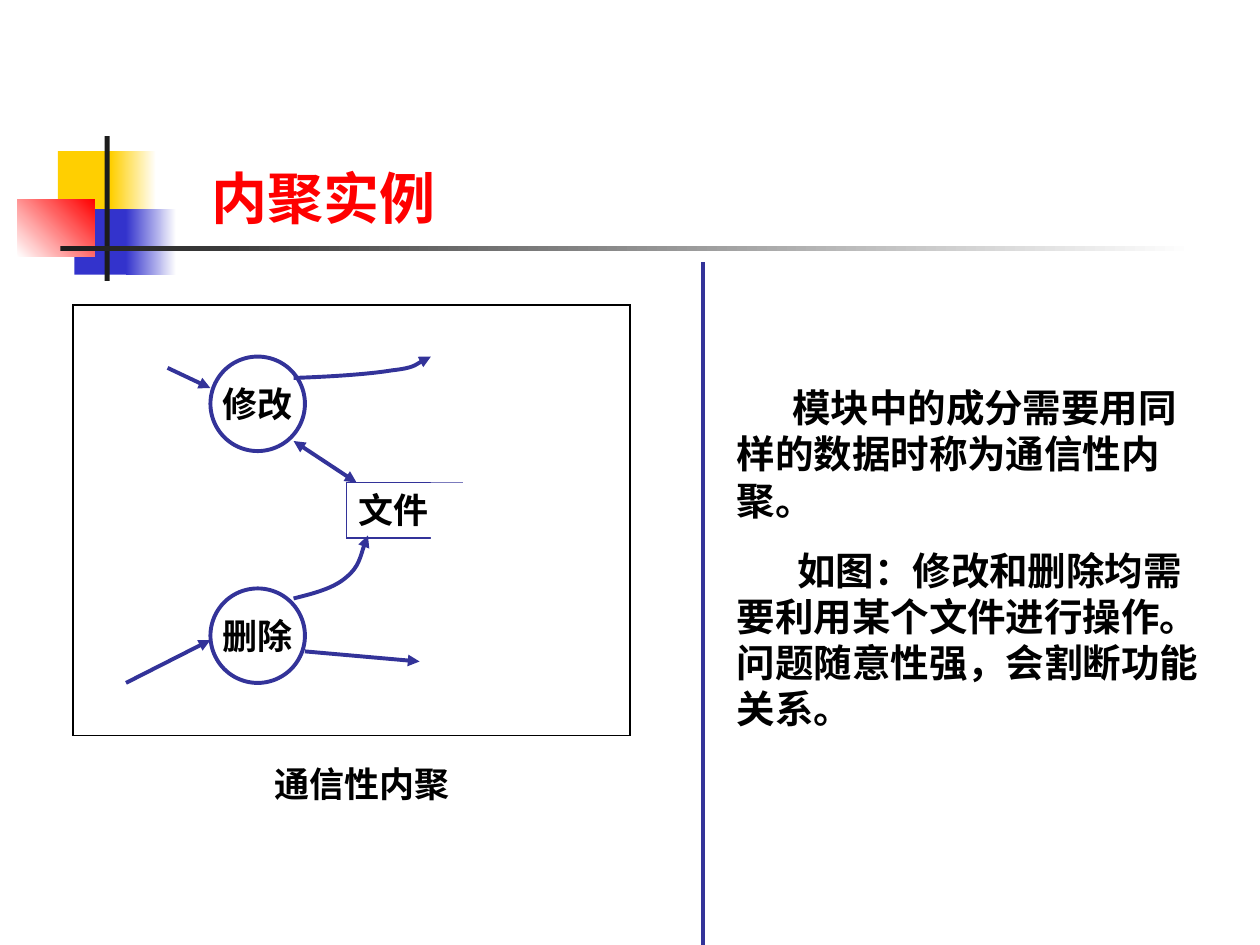
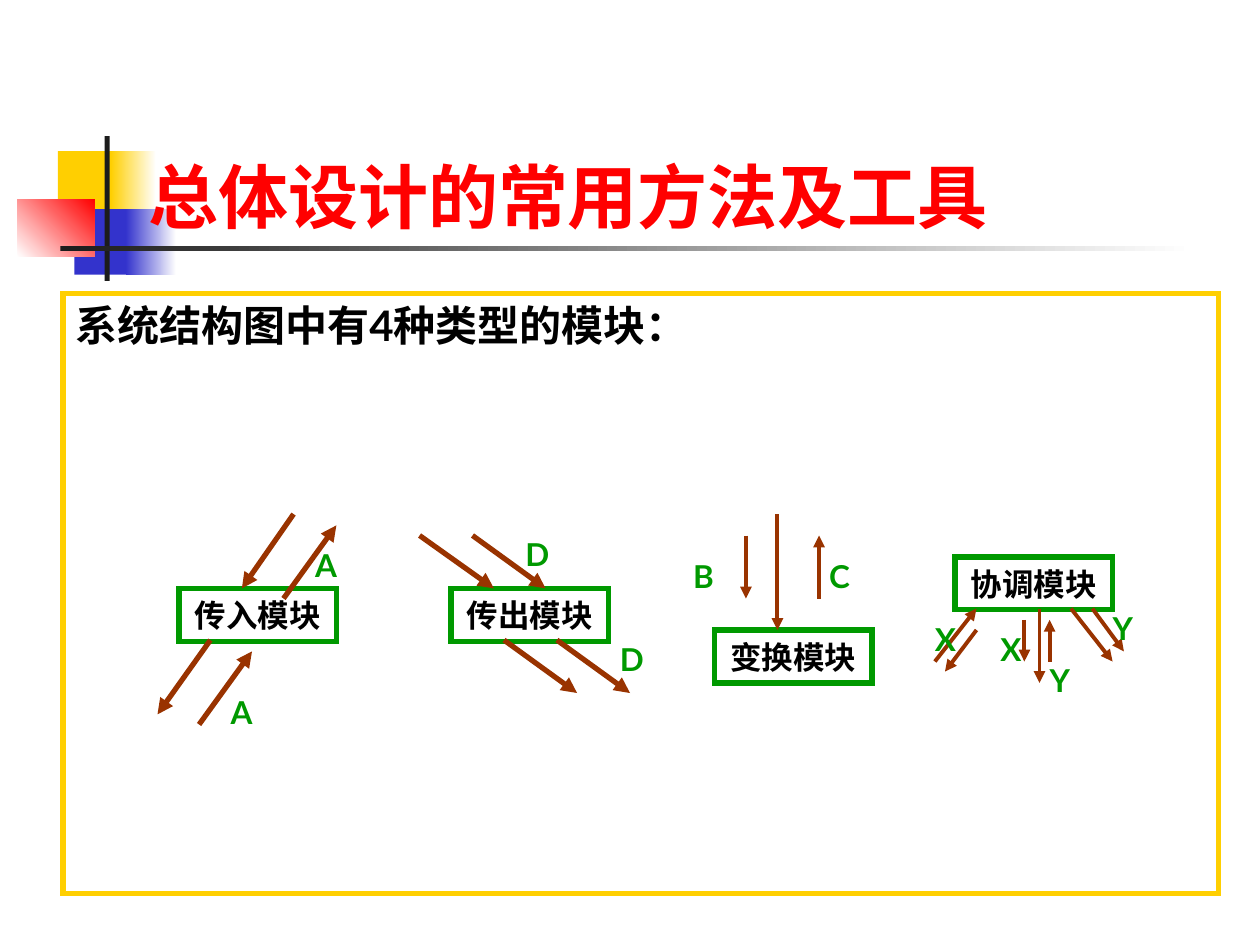
import pptx
import pptx.dml.color
import pptx.enum.shapes
import pptx.enum.text
import pptx.oxml
import pptx.oxml.ns
import pptx.util
from pptx.util import Inches

RED, BLACK, WHITE, INK = "FF0000", "000000", "FFFFFF", "1C1C1C"
YELLOW, BLUE, NAVY = "FFCF01", "3333CC", "333399"
GREEN, BROWN = "009900", "993300"
SHAPES = pptx.enum.shapes.MSO_SHAPE
ALIGN = pptx.enum.text.PP_ALIGN
ANCHOR = pptx.enum.text.MSO_ANCHOR
qn = pptx.oxml.ns.qn


def color(code):
    return pptx.dml.color.RGBColor.from_string(code)


def element(tag, attributes=""):
    """Make one empty drawing element."""
    return pptx.oxml.parse_xml(
        f'<a:{tag} {pptx.oxml.ns.nsdecls("a")} {attributes}/>')


def write(frame, *texts, size=20, font="Lato", ink=BLACK, align=ALIGN.LEFT,
          anchor=ANCHOR.TOP, wrap=True, margins=(0.1, 0.05), gap=0, indents=()):
    """Fill a text frame with one paragraph for each text."""
    frame.word_wrap = wrap
    frame.vertical_anchor = anchor
    frame.margin_left = frame.margin_right = Inches(margins[0])
    frame.margin_top = frame.margin_bottom = Inches(margins[1])
    for index, text in enumerate(texts):
        para = frame.add_paragraph() if index else frame.paragraphs[0]
        para.alignment = align
        if index:
            para.space_before = pptx.util.Pt(gap)
        properties = para._p.get_or_add_pPr()
        properties.set("hangingPunct", "0")
        if indents:
            properties.set("indent", str(Inches(indents[index])))
        span = para.add_run()
        span.text = text
        span.font.size = pptx.util.Pt(size)
        span.font.name = font
        span.font.bold = True
        span.font.color.rgb = color(ink)


class Painter:
    """Holds the deck, its shared style and the current page."""

    def __init__(self):
        self.deck = pptx.Presentation()
        self.deck.slide_width, self.deck.slide_height = Inches(10), Inches(7.5)
        self.page = None

    def new_page(self, title, left, top, width, height, **style):
        self.page = self.deck.slides.add_slide(self.deck.slide_layouts[6])
        # Coloured squares and the crossing rules
        self.shape(0.46, 1.2, 0.48, 0.52, fill=YELLOW)
        self.shape(0.88, 1.2, 0.36, 0.52, fill=(YELLOW, WHITE))
        self.shape(0.59, 1.66, 0.46, 0.52, fill=BLUE)
        self.shape(1, 1.66, 0.4, 0.52, fill=(BLUE, WHITE))
        self.shape(0.14, 1.58, 0.61, 0.46, fill=(WHITE, RED), angle=45)
        self.shape(0.83, 1.08, 0.04, 1.15, fill=INK)
        self.shape(0.48, 1.95, 9, 0.04, fill=(INK, WHITE))
        self.text(left, top, width, height, title, ink=RED, **style)

    def shape(self, left, top, width, height, kind=SHAPES.RECTANGLE,
              fill=None, angle=0, line=None, weight=0.75):
        """A fill may be None, one colour, or a pair for a gradient."""
        shape = self.page.shapes.add_shape(
            kind, Inches(left), Inches(top), Inches(width), Inches(height))
        shape.shadow.inherit = False
        if fill is None:
            shape.fill.background()
        elif isinstance(fill, str):
            shape.fill.solid()
            shape.fill.fore_color.rgb = color(fill)
        else:
            shape.fill.gradient()
            shape.fill.gradient_angle = angle
            for stop, code in zip(shape.fill.gradient_stops, fill):
                stop.color.rgb = color(code)
        if line:
            self.stroke(shape, line, weight)
        else:
            shape.line.fill.background()
        return shape

    def text(self, left, top, width, height, *texts, **style):
        box = self.page.shapes.add_textbox(
            Inches(left), Inches(top), Inches(width), Inches(height))
        write(box.text_frame, *texts, **style)

    def node(self, left, top, width, height, label, size=20, **look):
        node = self.shape(left, top, width, height, **look)
        write(node.text_frame, label, size=size, align=ALIGN.CENTER,
              anchor=ANCHOR.MIDDLE, wrap=False)

    def stroke(self, item, code, weight, ends=()):
        """Colour an outline, with sharp corners and optional arrowheads."""
        item.line.color.rgb = color(code)
        item.line.width = pptx.util.Pt(weight)
        outline = item.line._get_or_add_ln()
        outline.append(element("miter", 'lim="800000"'))
        for end in ends:
            outline.append(element(end, 'type="triangle"'))

    def line(self, x1, y1, x2, y2, code=NAVY, weight=2.25, ends=("tailEnd",)):
        line = self.page.shapes.add_connector(
            pptx.enum.shapes.MSO_CONNECTOR.STRAIGHT,
            Inches(x1), Inches(y1), Inches(x2), Inches(y2))
        self.stroke(line, code, weight, ends)
        line._element.spPr.append(element("effectLst"))

    def curve(self, *points):
        """An arrow of cubic curves: a start, then three points for each."""
        start, *rest = [(Inches(x), Inches(y)) for x, y in points]
        builder = self.page.shapes.build_freeform(*start)
        builder.add_line_segments(rest, close=False)
        curve = builder.convert_to_shape()
        curve.shadow.inherit = False
        curve.fill.background()
        self.stroke(curve, NAVY, 2.25, ("tailEnd",))
        # Turn each three straight steps into one cubic step
        steps = list(curve._element.iter(qn("a:lnTo")))
        for first in range(0, len(steps), 3):
            cubic = element("cubicBezTo")
            steps[first].addprevious(cubic)
            for step in steps[first:first + 3]:
                cubic.append(step[0])
                step.getparent().remove(step)


def cohesion_page(painter):
    painter.new_page("内聚实例", 1.58, 1.25, 7.5, 0.64, size=32)

    # Explanation right of the divider
    painter.text(5.75, 3, 3.92, 2.49,
                 "模块中的成分需要用同样的数据时称为通信性内聚。",
                 "如图：修改和删除均需要利用某个文件进行操作。问题随意性强，会割断功能关系。",
                 size=22, gap=13.8, indents=(0.44, 0.48))
    painter.line(5.58, 2.08, 5.58, 7.5, ends=())

    # Diagram frame, processes and caption
    painter.shape(0.58, 2.42, 4.42, 3.42, line=BLACK)
    for label, top in (("修改", 2.83), ("删除", 4.67)):
        painter.node(1.67, top, 0.75, 0.75, label, kind=SHAPES.OVAL,
                     line=NAVY, weight=2.25)
    painter.text(2.08, 6, 2, 0.44, "通信性内聚")

    # File store, open on its right side
    store = painter.shape(2.75, 3.83, 0.92, 0.44, line=NAVY)
    write(store.text_frame, "文件")
    painter.shape(3.42, 3.83, 0.42, 0.5, fill=WHITE)

    # Data flows
    for flow in ((1, 5.42, 1.67, 5.08), (2.42, 5.17, 3.33, 5.25),
                 (1.33, 2.92, 1.67, 3.08)):
        painter.line(*flow)
    painter.line(2.33, 3.5, 2.83, 3.83, ends=("headEnd", "tailEnd"))
    painter.curve((2.33, 4.75), (2.49, 4.71), (2.65, 4.67), (2.75, 4.58),
                  (2.85, 4.5), (2.89, 4.31), (2.92, 4.25))
    painter.curve((2.33, 3), (2.63, 2.99), (2.93, 2.97), (3.11, 2.94),
                  (3.29, 2.92), (3.37, 2.85), (3.42, 2.83))


# Each module: name, left, top, arrow weight, arrows, letters
MODULES = (
    ("传入模块", 1.42, 4.67, 3,
     ((2.33, 4.08, 1.92, 4.67), (1.67, 5.08, 1.25, 5.67),
      (2.25, 4.75, 2.67, 4.17), (1.58, 5.75, 2, 5.17)),
     (("A", 1.83, 5.5), ("A", 2.5, 4.33))),
    ("传出模块", 3.58, 4.67, 3,
     ((3.33, 4.25, 3.92, 4.67), (4, 5.08, 4.58, 5.5),
      (3.75, 4.25, 4.33, 4.67), (4.42, 5.08, 5, 5.5)),
     (("D", 4.92, 5.08), ("D", 4.17, 4.25))),
    ("变换模块", 5.67, 5, 2.25,
     ((6.17, 4.08, 6.17, 5), (5.92, 4.25, 5.92, 4.75),
      (6.5, 4.75, 6.5, 4.25)),
     (("B", 5.5, 4.42), ("C", 6.58, 4.42))),
    ("协调模块", 7.58, 4.42, 2.25,
     ((8.25, 4.83, 8.25, 5.42), (7.42, 5.25, 7.75, 4.83),
      (7.75, 5, 7.5, 5.33), (8.13, 4.92, 8.13, 5.25),
      (8.33, 5.25, 8.33, 4.92), (8.5, 4.83, 8.83, 5.25),
      (8.67, 4.83, 8.92, 5.17)),
     (("X", 7.42, 4.92), ("X", 7.94, 5), ("Y", 8.83, 4.83), ("Y", 8.33, 5.25))),
)


def modules_page(painter):
    painter.new_page("总体设计的常用方法及工具", 1.08, 1.17, 8.5, 0.77,
                     size=40, font="Times New Roman")

    # Framed statement
    frame = painter.shape(0.5, 2.33, 9.17, 4.76, line=YELLOW, weight=3)
    write(frame.text_frame, "系统结构图中有4种类型的模块：", size=24)

    # The four module types
    for name, left, top, weight, arrows, letters in MODULES:
        painter.node(left, top, 1.25, 0.42, name, size=18, line=GREEN, weight=3)
        for arrow in arrows:
            painter.line(*arrow, code=BROWN, weight=weight)
        for letter, x, y in letters:
            painter.text(x, y, 0.25, 0.3, letter, size=18, ink=GREEN,
                         margins=(0, 0))


def main():
    painter = Painter()
    cohesion_page(painter)
    modules_page(painter)
    painter.deck.save("out.pptx")


if __name__ == "__main__":
    main()
